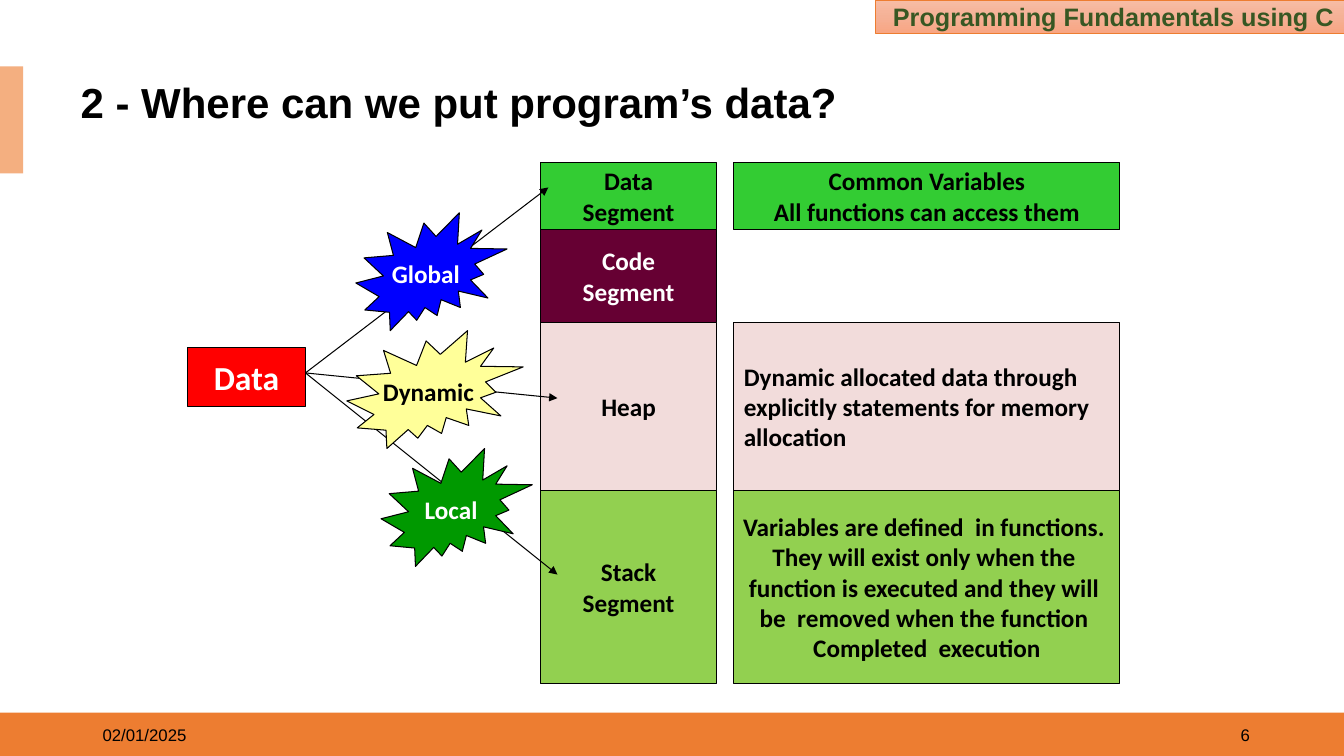
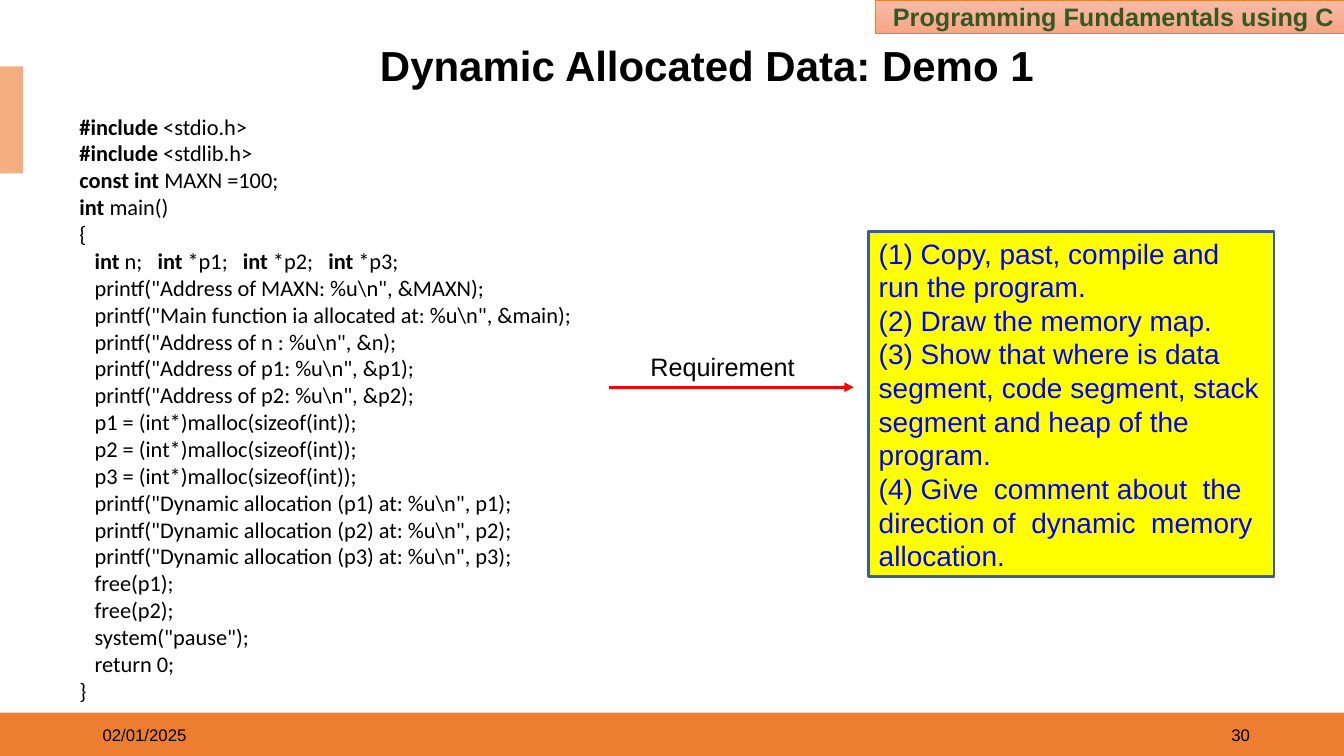
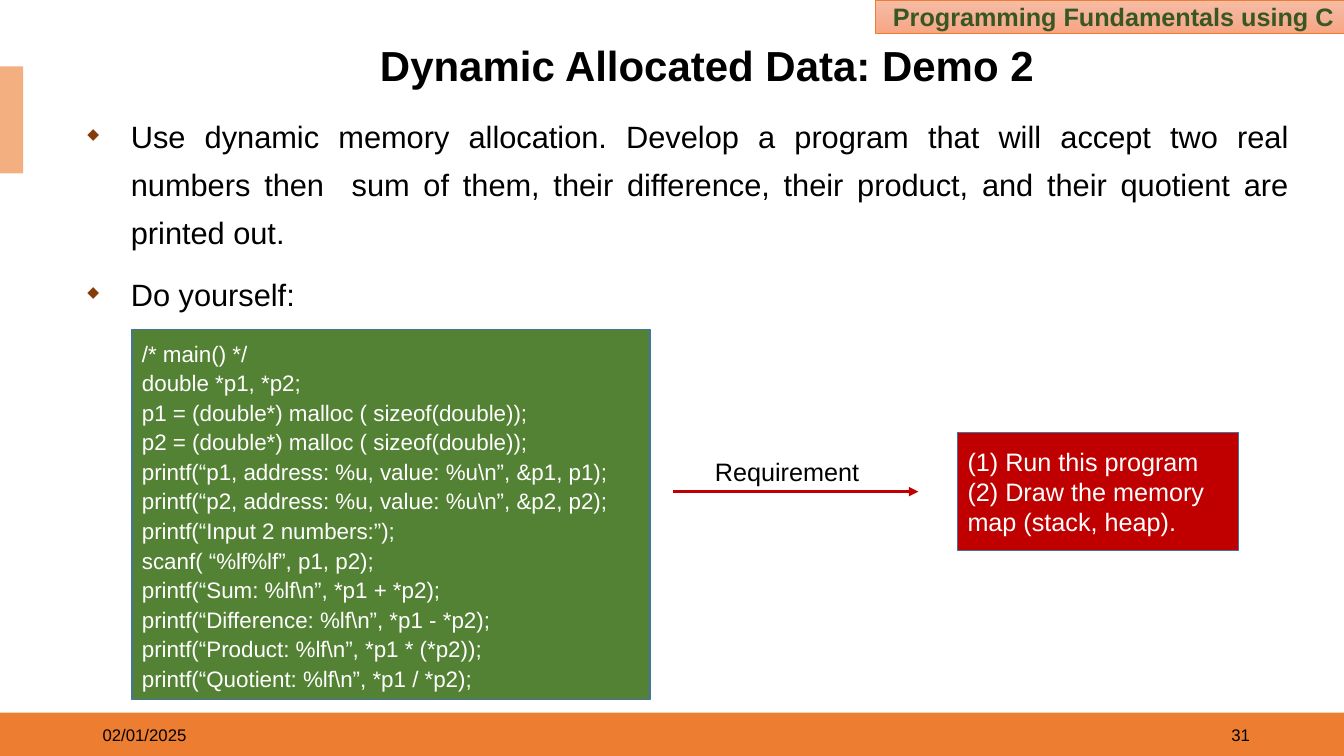
from copy import deepcopy

from lxml import etree
from pptx import Presentation
from pptx.dml.color import RGBColor
from pptx.enum.shapes import MSO_CONNECTOR, MSO_SHAPE
from pptx.enum.text import MSO_ANCHOR, MSO_AUTO_SIZE, PP_ALIGN
from pptx.oxml.ns import qn
from pptx.util import Pt

RECT, SEAL = MSO_SHAPE.RECTANGLE, MSO_SHAPE.EXPLOSION2
STRAIGHT = MSO_CONNECTOR.STRAIGHT
LEFT, CENTER, RIGHT, JUSTIFY = (
    PP_ALIGN.LEFT, PP_ALIGN.CENTER, PP_ALIGN.RIGHT, PP_ALIGN.JUSTIFY)
TOP, MIDDLE = MSO_ANCHOR.TOP, MSO_ANCHOR.MIDDLE
NO_FIT = MSO_AUTO_SIZE.NONE

BLACK = RGBColor(0x00, 0x00, 0x00)
WHITE = RGBColor(0xFF, 0xFF, 0xFF)
ORANGE = RGBColor(0xED, 0x7D, 0x31)
PEACH = RGBColor(0xF4, 0xAF, 0x80)
HEADER_STOPS = (
    (0, RGBColor(0xF7, 0xBD, 0xA5)),
    (0.5, RGBColor(0xF5, 0xB1, 0x96)),
    (1, RGBColor(0xF8, 0xA5, 0x82)),
)
HEADER_GREEN = RGBColor(0x38, 0x57, 0x23)
DATA_GREEN = RGBColor(0x33, 0xCC, 0x33)
CODE_PURPLE = RGBColor(0x66, 0x00, 0x33)
HEAP_PINK = RGBColor(0xF2, 0xDC, 0xDB)
STACK_GREEN = RGBColor(0x92, 0xD0, 0x50)
LOCAL_GREEN = RGBColor(0x00, 0x99, 0x00)
BLUE = RGBColor(0x00, 0x00, 0xFF)
PALE_YELLOW = RGBColor(0xFF, 0xFF, 0x99)
YELLOW = RGBColor(0xFF, 0xFF, 0x00)
RED = RGBColor(0xFF, 0x00, 0x00)
DARK_RED = RGBColor(0xC0, 0x00, 0x00)
LISTING_GREEN = RGBColor(0x54, 0x82, 0x35)
STEEL = RGBColor(0x43, 0x73, 0x9E)
NAVY = RGBColor(0x3A, 0x5F, 0x8C)

TITLE_FONT = {"name": "Arial", "size": Pt(30), "bold": True}
HEADER_FONT = {"name": "Arial", "size": Pt(18), "bold": True}
FOOTER_FONT = {"name": "Arial", "size": Pt(12)}
MAP_FONT = {"name": "Calibri", "size": Pt(18), "bold": True}
ROOT_FONT = {"name": "Calibri", "size": Pt(24), "bold": True}
CODE_FONT = {"name": "Calibri", "size": Pt(16)}
LISTING_FONT = {"name": "Arial", "size": Pt(16)}
LABEL_FONT = {"name": "Arial", "size": Pt(18)}
TASK_FONT = {"name": "Arial", "size": Pt(20)}
BODY_FONT = {"name": "Arial", "size": Pt(22)}

DATE = "02/01/2025"
COURSE = "Programming Fundamentals using C"

SEGMENTS = (
    (48, DATA_GREEN, BLACK, ("Data", "Segment"), CENTER,
     ("Common Variables", "All functions can access them")),
    (66.2, CODE_PURPLE, WHITE, ("Code", "Segment"), CENTER, ()),
    (120, HEAP_PINK, BLACK, ("Heap",), LEFT,
     ("Dynamic allocated data through", "explicitly statements for memory",
      "allocation")),
    (138.2, STACK_GREEN, BLACK, ("Stack", "Segment"), CENTER,
     ("Variables are defined  in functions. ",
      "They will exist only when the ",
      "function is executed and they will ",
      "be  removed when the function ",
      "Completed  execution")),
)
ARROW_ENDS = ((257.7, 17.9), (264.2, 168.4), (264.2, 294.4))
SCOPES = (
    ("Local", (138.2, 204.4, 108, 84.2), LOCAL_GREEN, WHITE),
    ("Global", (120.2, 36, 108, 84.2), BLUE, WHITE),
    ("Dynamic", (113.7, 120.2, 126, 84.2), PALE_YELLOW, BLACK),
)

DEMO_1_CODE = r"""|#include| <stdio.h>
|#include |<stdlib.h>
|const int| MAXN =100;
|int |main()
{
|   int| n;   |int| *p1;   |int| *p2;   |int| *p3;
   printf("Address of MAXN: %u\n", &MAXN);
   printf("Main function ia allocated at: %u\n", &main);
   printf("Address of n : %u\n", &n);
   printf("Address of p1: %u\n", &p1);
   printf("Address of p2: %u\n", &p2);
   p1 = (int*)malloc(sizeof(int));
   p2 = (int*)malloc(sizeof(int));
   p3 = (int*)malloc(sizeof(int));
   printf("Dynamic allocation (p1) at: %u\n", p1);
   printf("Dynamic allocation (p2) at: %u\n", p2);
   printf("Dynamic allocation (p3) at: %u\n", p3);
   free(p1);
   free(p2);
   system("pause");
   return 0;
}""".split("\n")
DEMO_1_TASKS = (
    "(1) Copy, past, compile and run the program.",
    "(2) Draw the memory map.",
    "(3) Show that where is data segment, code segment, stack segment "
    "and heap of the program.",
    "(4) Give  comment about  the direction of  dynamic  memory allocation.",
)
DEMO_2_INTRO = (
    "Use dynamic memory allocation. Develop a program that will accept two "
    "real numbers then  sum of them, their difference, their product, and "
    "their quotient are printed out.",
    "Do yourself:",
)
DEMO_2_CODE = r"""/* main() */
double *p1, *p2;
p1 = (double*) malloc ( sizeof(double));
p2 = (double*) malloc ( sizeof(double));
printf(“p1, address: %u, value: %u\n”, &p1, p1);
printf(“p2, address: %u, value: %u\n”, &p2, p2);
printf(“Input 2 numbers:”);
scanf( “%lf%lf”, p1, p2);
printf(“Sum: %lf\n”, *p1 + *p2);
printf(“Difference: %lf\n”, *p1 - *p2);
printf(“Product: %lf\n”, *p1 * (*p2));
printf(“Quotient: %lf\n”, *p1 / *p2);""".split("\n")
DEMO_2_TASKS = ("(1) Run this program", "(2) Draw the memory map (stack, heap).")


def apply(target, values):
    """Set each named attribute on the target."""
    for name, value in values.items():
        setattr(target, name, value)


def write(shape, lines, font, color, align=LEFT, anchor=MIDDLE, wrap=True,
          spacing=None):
    """Fill a shape with paragraphs; bars in a line switch bold on and off."""
    frame = shape.text_frame
    apply(frame, {"auto_size": NO_FIT, "word_wrap": wrap,
                  "vertical_anchor": anchor})
    for index, line in enumerate(lines):
        paragraph = frame.add_paragraph() if index else frame.paragraphs[0]
        apply(paragraph, {"alignment": align, "line_spacing": spacing})
        for part, text in enumerate(line.split("|")):
            if text:
                run = paragraph.add_run()
                run.text = text
                apply(run.font, {"bold": part % 2 == 1, **font})
                run.font.color.rgb = color


def add_box(slide, box, fill, line=None, width=0.75, kind=RECT):
    """Add a flat filled shape, outlined if a line colour is given."""
    shape = slide.shapes.add_shape(kind, *map(Pt, box))
    shape.shadow.inherit = False
    shape.fill.solid()
    shape.fill.fore_color.rgb = fill
    if line is None:
        shape.line.fill.background()
    else:
        shape.line.color.rgb = line
        shape.line.width = Pt(width)
    return shape


def add_text(slide, box, lines, font, **layout):
    """Add a text box with black text."""
    area = slide.shapes.add_textbox(*map(Pt, box))
    write(area, lines, font, BLACK, **layout)
    return area


def add_arrow(slide, start, end, color, width):
    """Draw a straight arrow with a triangular head."""
    arrow = slide.shapes.add_connector(STRAIGHT, *map(Pt, (*start, *end)))
    arrow.line.color.rgb = color
    arrow.line.width = Pt(width)
    properties = arrow.element.spPr
    etree.SubElement(properties.find(qn("a:ln")), qn("a:tailEnd"),
                     type="triangle")
    etree.SubElement(properties, qn("a:effectLst"))


def add_header(slide, box):
    """Add the gradient course label with white-edged lettering."""
    header = add_box(slide, box, PEACH, ORANGE, 0.5)
    header.fill.gradient()
    header.fill.gradient_angle = 270
    stops = header.element.spPr.find(".//" + qn("a:gsLst"))
    stops.insert(1, deepcopy(stops[0]))
    for stop, (position, color) in zip(header.fill.gradient_stops,
                                       HEADER_STOPS):
        stop.position = position
        stop.color.rgb = color
    write(header, [COURSE], HEADER_FONT, HEADER_GREEN, RIGHT)
    edge = etree.Element(qn("a:ln"), w=str(Pt(0.75)))
    solid = etree.SubElement(edge, qn("a:solidFill"))
    etree.SubElement(solid, qn("a:srgbClr"), val=str(WHITE))
    header.element.find(".//" + qn("a:rPr")).insert(0, edge)


def start_slide(deck, title, title_box, number):
    """Add a slide with its title, bands, header and footer."""
    slide = deck.slides.add_slide(deck.slide_layouts[5])
    add_box(slide, (0, 509, 960, 31), ORANGE)
    add_box(slide, (0, 47.5, 16.5, 76.3), PEACH)
    add_header(slide, (625.5, 0, 334.5, 24))
    heading = slide.shapes.title
    apply(heading, dict(zip(("left", "top", "width", "height"),
                            map(Pt, title_box))))
    heading.fill.solid()
    heading.fill.fore_color.rgb = WHITE
    write(heading, [title], TITLE_FONT, BLACK, spacing=0.9)
    add_text(slide, (684, 510.5, 216, 28.8), [number], FOOTER_FONT,
             align=RIGHT)
    add_text(slide, (66.2, 510.5, 216, 28.8), [DATE], FOOTER_FONT)
    return slide


def add_memory_map(slide, left, top):
    """Draw the data box, its scopes and the memory segments they lead to."""
    row = top
    for height, fill, color, name, align, description in SEGMENTS:
        segment = add_box(slide, (left + 252, row, 126, height), fill, BLACK)
        write(segment, name, MAP_FONT, color, CENTER, wrap=False)
        if description:
            detail = add_box(slide, (left + 390.2, row, 275.8, height), fill,
                             BLACK)
            write(detail, description, MAP_FONT, color, align, wrap=False)
        row += height
    root = add_box(slide, (left, top + 132.4, 84.2, 41.8), RED, BLACK)
    write(root, ["Data"], ROOT_FONT, WHITE, CENTER, wrap=False)
    for x, y in ARROW_ENDS:
        add_arrow(slide, (left + 84.2, top + 150.4), (left + x, top + y),
                  BLACK, 0.75)
    for name, (x, y, width, height), fill, color in SCOPES:
        scope = add_box(slide, (left + x, top + y, width, height), fill,
                        BLACK, kind=SEAL)
        write(scope, [name], MAP_FONT, color, CENTER, wrap=False)


def add_requirement(slide, left, top, color):
    """Draw the labelled arrow that leads to the tasks."""
    add_arrow(slide, (left, top + 29), (left + 175, top + 29), color, 2.25)
    add_text(slide, (left + 22.6, top, 129.6, 28.8), ["Requirement"],
             LABEL_FONT, anchor=TOP)


def add_bullets(slide, box, lines):
    """Add justified paragraphs with small diamond bullets."""
    body = add_text(slide, box, lines, BODY_FONT, align=JUSTIFY, anchor=TOP,
                    spacing=1.3)
    for index, paragraph in enumerate(body.text_frame.paragraphs):
        if index:
            paragraph.space_before = Pt(10)
        properties = paragraph.element.get_or_add_pPr() if hasattr(
            paragraph, "element") else paragraph._p.get_or_add_pPr()
        apply_indent = {"marL": Pt(31), "indent": Pt(-31)}
        for name, value in apply_indent.items():
            properties.set(name, str(value))
        tint = etree.SubElement(properties, qn("a:buClr"))
        etree.SubElement(tint, qn("a:srgbClr"), val="843C0B")
        etree.SubElement(properties, qn("a:buSzPct"), val="50000")
        etree.SubElement(properties, qn("a:buChar"), char="◆")


def build_map_slide(deck):
    """Build the slide on where data is placed."""
    slide = start_slide(deck, "2 - Where can we put program’s data?",
                        (50.4, 56.9, 872.6, 36.7), "6")
    add_memory_map(slide, 134, 116)


def build_demo_1(deck):
    """Build the first demo with its code and tasks."""
    slide = start_slide(deck, "Dynamic Allocated Data: Demo 1",
                        (264.2, 30.2, 500.4, 36.7), "30")
    add_text(slide, (49.7, 77, 469.4, 433.4), DEMO_1_CODE, CODE_FONT,
             anchor=TOP)
    tasks = add_box(slide, (620.6, 165.6, 289.4, 246.2), YELLOW, NAVY, 2)
    write(tasks, DEMO_1_TASKS, TASK_FONT, BLUE)
    add_requirement(slide, 434.9, 247.6, RED)


def build_demo_2(deck):
    """Build the second demo with its exercise, code and tasks."""
    slide = start_slide(deck, "Dynamic Allocated Data: Demo 2",
                        (264.2, 30.2, 540.7, 36.7), "31")
    add_requirement(slide, 481, 322.2, DARK_RED)
    add_bullets(slide, (55.4, 72.7, 872.6, 403.2), DEMO_2_INTRO)
    listing = add_box(slide, (94.3, 235.4, 370.1, 264.2), LISTING_GREEN,
                      STEEL, 1)
    write(listing, DEMO_2_CODE, LISTING_FONT, WHITE, spacing=1.1)
    tasks = add_box(slide, (684, 308.9, 200.9, 84.2), DARK_RED, STEEL, 1)
    write(tasks, DEMO_2_TASKS, LABEL_FONT, WHITE)


def main():
    """Build and save the deck."""
    deck = Presentation()
    deck.slide_width, deck.slide_height = Pt(960), Pt(540)
    build_map_slide(deck)
    build_demo_1(deck)
    build_demo_2(deck)
    deck.save("out.pptx")


if __name__ == "__main__":
    main()
